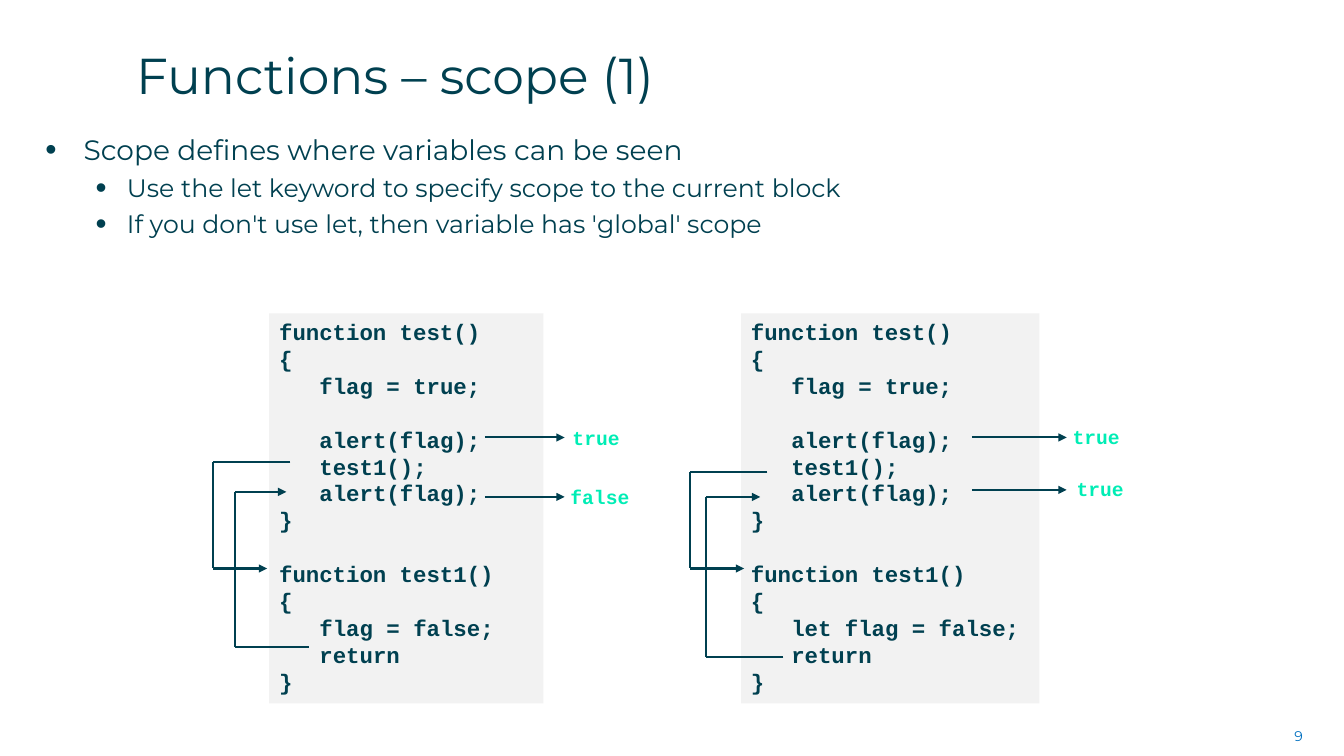
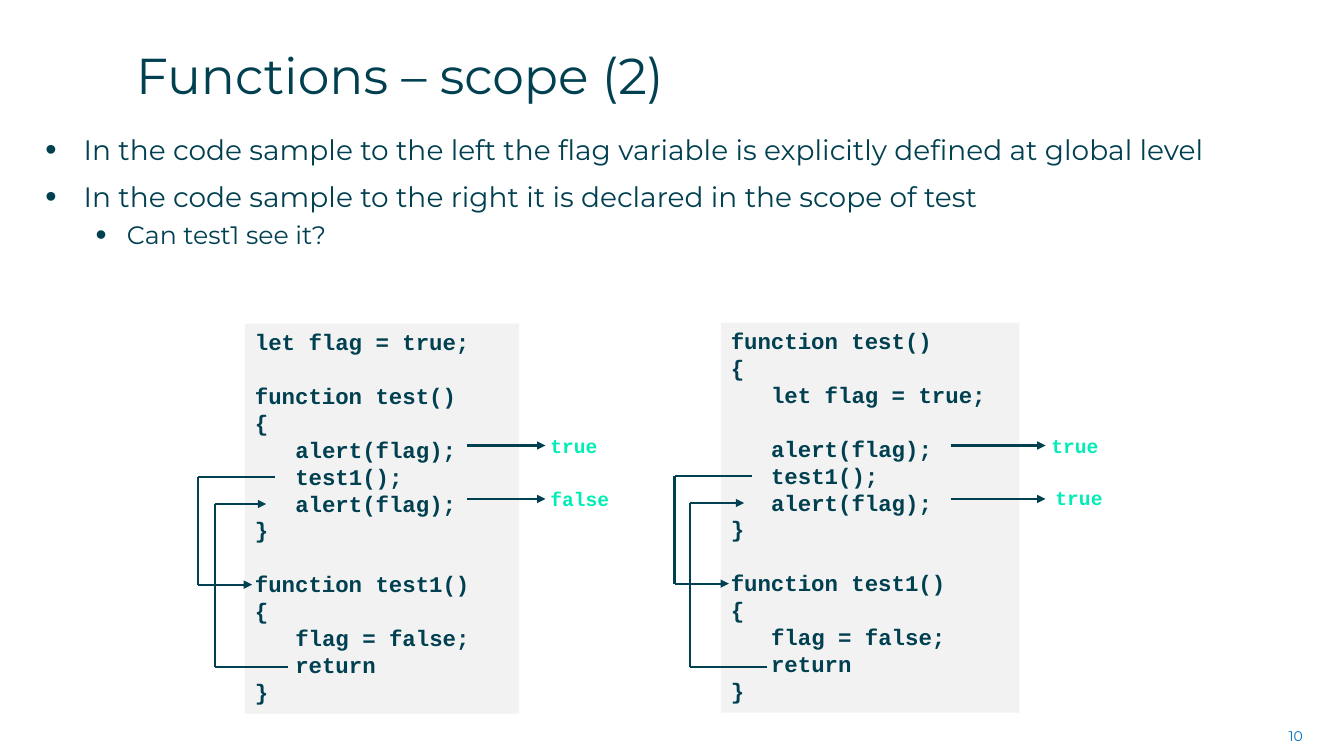
from dataclasses import dataclass

from lxml import etree
from pptx import Presentation
from pptx.dml.color import RGBColor
from pptx.enum.shapes import MSO_CONNECTOR, MSO_SHAPE
from pptx.enum.text import MSO_ANCHOR, MSO_AUTO_SIZE, PP_ALIGN
from pptx.oxml.ns import qn
from pptx.util import Inches, Pt


@dataclass(frozen=True)
class Theme:
    ink: RGBColor = RGBColor(0x00, 0x40, 0x50)
    accent: RGBColor = RGBColor(0x00, 0xED, 0xB5)
    panel: RGBColor = RGBColor(0xF2, 0xF2, 0xF2)
    number: RGBColor = RGBColor(0x00, 0x70, 0xC0)
    font: str = "Montserrat"
    code_font: str = "Courier New"
    title_size: int = 36
    number_size: int = 10
    code_size: int = 16
    result_size: int = 14
    code_gap: float = 19.2
    line_width: float = 1.5


@dataclass(frozen=True)
class BulletStyle:
    size: int
    leading: int
    margin: float
    hanging: float
    bullet_percent: int


@dataclass(frozen=True)
class Loop:
    """Path from a statement out to the left and back to another line."""
    start_x: float
    start_y: float
    left: float
    end_y: float
    end_x: float


@dataclass(frozen=True)
class Result:
    text: str
    arrow_y: float
    left: float
    top: float


@dataclass(frozen=True)
class Sample:
    left: float
    top: float
    width: float
    blocks: tuple[tuple[str, ...], ...]
    arrow_start: float
    arrow_end: float
    results: tuple[Result, ...]
    loops: tuple[Loop, ...]


@dataclass(frozen=True)
class Page:
    number: int
    title: str
    bullets: tuple[tuple[int, str], ...]
    samples: tuple[Sample, ...]


THEME = Theme()
BULLET_STYLES = (
    BulletStyle(20, 22, 0.38, 0.38, 115),
    BulletStyle(18, 14, 0.81, 0.31, 125),
)
CALLS = ("alert(flag);", "test1();", "alert(flag);", "}")
OPENING = ("function test()", "{")


def callee(assignment: str) -> tuple[str, ...]:
    return "function test1()", "{", assignment, "return", "}"


PAGES = (
    Page(
        9, "Functions – scope (1)",
        ((0, "Scope defines where variables can be seen"),
         (1, "Use the let keyword to specify scope to the current block"),
         (1, "If you don't use let, then variable has 'global' scope")),
        (Sample(2.67, 3.11, 2.72,
                ((*OPENING, "flag = true;"), CALLS, callee("flag = false;")),
                4.81, 5.6,
                (Result("true", 4.34, 5.58, 4.18), Result("false", 4.93, 5.56, 4.76)),
                (Loop(2.88, 4.58, 2.11, 5.64, 2.65), Loop(3.06, 6.42, 2.33, 4.88, 2.84))),
         Sample(7.35, 3.11, 2.96,
                ((*OPENING, "flag = true;"), CALLS, callee("let flag = false;")),
                9.64, 10.58,
                (Result("true", 4.34, 10.54, 4.17), Result("true", 4.86, 10.58, 4.68)),
                (Loop(7.61, 4.68, 6.84, 5.64, 7.38), Loop(7.77, 6.52, 7, 4.93, 7.54)))),
    ),
    Page(
        10, "Functions – scope (2)",
        ((0, "In the code sample to the left the flag variable is explicitly "
             "defined at global level"),
         (0, "In the code sample to the right it is declared in the scope of test"),
         (1, "Can test1 see it?")),
        (Sample(2.43, 3.21, 2.72,
                (("let flag = true;",), (*OPENING, *CALLS), callee("flag = false;")),
                4.63, 5.41,
                (Result("true", 4.42, 5.36, 4.26), Result("false", 4.95, 5.36, 4.78)),
                (Loop(2.73, 4.73, 1.96, 5.8, 2.5), Loop(2.86, 6.62, 2.13, 5, 2.64))),
         Sample(7.15, 3.2, 2.96,
                ((*OPENING, "let flag = true;"), CALLS, callee("flag = false;")),
                9.43, 10.37,
                (Result("true", 4.42, 10.33, 4.26), Result("true", 4.95, 10.37, 4.77)),
                (Loop(7.46, 4.72, 6.69, 5.79, 7.23), Loop(7.61, 6.62, 6.84, 4.99, 7.38)))),
    ),
)


def add_span(para, text: str, size: int, color: RGBColor,
             font: str = THEME.font, bold: bool = False) -> None:
    span = para.add_run()
    span.text = text
    span.font.name = font
    span.font.size = Pt(size)
    span.font.bold = bold
    span.font.color.rgb = color


def add_text_box(slide, left: float, top: float, width: float, height: float):
    box = slide.shapes.add_textbox(Inches(left), Inches(top), Inches(width), Inches(height))
    box.text_frame.word_wrap = True
    return box.text_frame


def paragraphs(frame, count: int) -> list:
    return [frame.paragraphs[0]] + [frame.add_paragraph() for _ in range(count - 1)]


def set_indent(para, margin: float, hanging: float = 0):
    properties = para._p.get_or_add_pPr()
    properties.set("marL", str(Inches(margin)))
    properties.set("indent", str(-Inches(hanging)))
    return properties


def add_title(slide, text: str) -> None:
    title = slide.shapes.title
    title.left, title.top = Inches(1.25), Inches(0.4)
    title.width, title.height = Inches(11.68), Inches(0.69)
    frame = title.text_frame
    frame.auto_size = MSO_AUTO_SIZE.NONE
    frame.vertical_anchor = MSO_ANCHOR.BOTTOM
    para = frame.paragraphs[0]
    para.alignment = PP_ALIGN.LEFT
    para.line_spacing = Pt(42)
    add_span(para, text, THEME.title_size, THEME.ink)


def add_page_number(slide, number: int) -> None:
    frame = add_text_box(slide, 9.91, 7.1, 3.11, 0.4)
    frame.vertical_anchor = MSO_ANCHOR.MIDDLE
    para = frame.paragraphs[0]
    para.alignment = PP_ALIGN.RIGHT
    add_span(para, str(number), THEME.number_size, THEME.number)


def add_bullets(slide, bullets: tuple[tuple[int, str], ...]) -> None:
    frame = add_text_box(slide, 0.45, 1.34, 12.47, 5.74)
    frame.margin_left = frame.margin_top = frame.margin_right = frame.margin_bottom = 0
    for para, (level, text) in zip(paragraphs(frame, len(bullets)), bullets):
        style = BULLET_STYLES[level]
        para.level = level
        para.line_spacing = Pt(style.leading)
        para.space_before = para.space_after = Pt(6)
        properties = set_indent(para, style.margin, style.hanging)
        color = etree.SubElement(properties, qn("a:buClr"))
        etree.SubElement(color, qn("a:srgbClr"), val=str(THEME.ink))
        etree.SubElement(properties, qn("a:buSzPct"), val=str(style.bullet_percent * 1000))
        etree.SubElement(properties, qn("a:buFont"), typeface="Arial")
        etree.SubElement(properties, qn("a:buChar"), char="•")
        add_span(para, text, style.size, THEME.ink)


def add_line(slide, start: tuple[float, float], end: tuple[float, float],
             arrow: bool = False) -> None:
    line = slide.shapes.add_connector(
        MSO_CONNECTOR.STRAIGHT, *(Inches(value) for value in (*start, *end)))
    line.line.color.rgb = THEME.ink
    line.line.width = Pt(THEME.line_width)
    if arrow:
        etree.SubElement(line.line._get_or_add_ln(), qn("a:tailEnd"), type="triangle")
    etree.SubElement(line._element.spPr, qn("a:effectLst"))


def add_loop(slide, loop: Loop) -> None:
    upper, lower = (loop.left, loop.start_y), (loop.left, loop.end_y)
    add_line(slide, (loop.start_x, loop.start_y), upper)
    add_line(slide, upper, lower)
    add_line(slide, lower, (loop.end_x, loop.end_y), arrow=True)


def add_code(slide, sample: Sample) -> None:
    """Draw the panel, indenting lines by brace and spacing blocks one line apart."""
    panel = slide.shapes.add_shape(
        MSO_SHAPE.RECTANGLE, Inches(sample.left), Inches(sample.top),
        Inches(sample.width), Inches(3.87))
    panel.shadow.inherit = False
    panel.fill.solid()
    panel.fill.fore_color.rgb = THEME.panel
    panel.line.fill.background()
    frame = panel.text_frame
    frame.word_wrap = True
    frame.vertical_anchor = MSO_ANCHOR.TOP
    lines = [(text, block > 0 and row == 0)
             for block, texts in enumerate(sample.blocks)
             for row, text in enumerate(texts)]
    inside = False
    for para, (text, starts_block) in zip(paragraphs(frame, len(lines)), lines):
        para.alignment = PP_ALIGN.LEFT
        if starts_block:
            para.space_before = Pt(THEME.code_gap)
        if text == "}":
            inside = False
        set_indent(para, 0.4 if inside else 0)
        if text == "{":
            inside = True
        add_span(para, text, THEME.code_size, THEME.ink, THEME.code_font, bold=True)


def add_sample(slide, sample: Sample) -> None:
    add_code(slide, sample)
    for result in sample.results:
        frame = add_text_box(slide, result.left, result.top, 0.9, 0.33)
        add_span(frame.paragraphs[0], result.text, THEME.result_size, THEME.accent,
                 THEME.code_font, bold=True)
        add_line(slide, (sample.arrow_start, result.arrow_y),
                 (sample.arrow_end, result.arrow_y), arrow=True)
    for loop in sample.loops:
        add_loop(slide, loop)


def add_page(deck, page: Page) -> None:
    slide = deck.slides.add_slide(deck.slide_layouts.get_by_name("Title Only"))
    add_page_number(slide, page.number)
    add_bullets(slide, page.bullets)
    add_title(slide, page.title)
    for sample in page.samples:
        add_sample(slide, sample)


def main() -> None:
    deck = Presentation()
    deck.slide_width, deck.slide_height = Inches(13.33), Inches(7.5)
    for page in PAGES:
        add_page(deck, page)
    deck.save("out.pptx")


if __name__ == "__main__":
    main()
